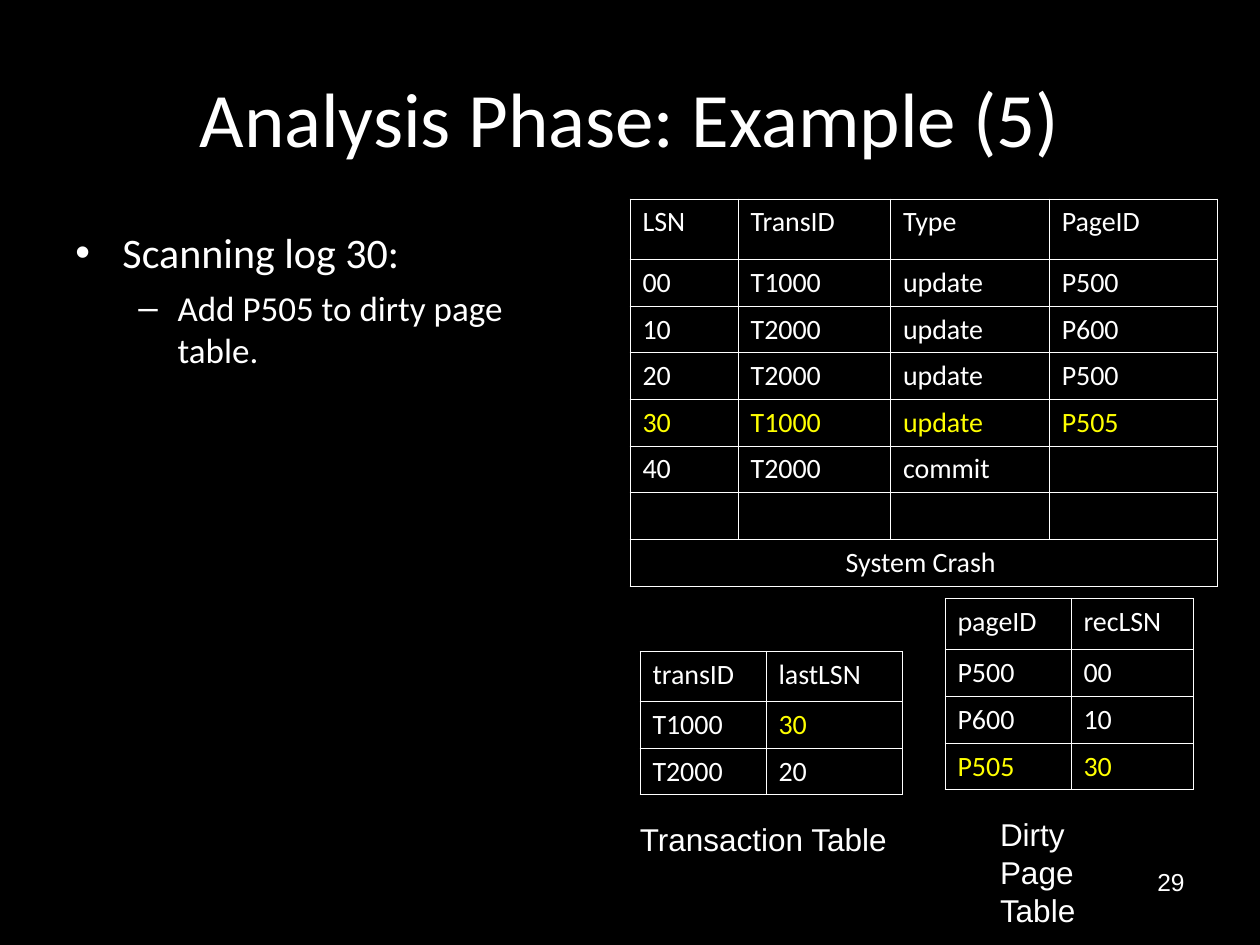
from lxml.etree import SubElement
from pptx import Presentation
from pptx.dml.color import RGBColor
from pptx.enum.text import MSO_ANCHOR, MSO_AUTO_SIZE, PP_ALIGN
from pptx.oxml.ns import qn
from pptx.util import Cm, Pt


def color(hex_code):
    return RGBColor.from_string(hex_code)


class LogSlide:
    paper, ink, accent = "000000", "FFFFFF", "FFFF00"
    heading_font, label_font = "Calibri", "Arial"
    row_height = 0.94

    def __init__(self, deck):
        self.slide = deck.slides.add_slide(deck.slide_layouts[5])
        self.slide.background.fill.solid()
        self.slide.background.fill.fore_color.rgb = color(self.paper)

    def run(self, paragraph, text, size, font, ink=None):
        run = paragraph.add_run()
        run.text = text
        run.font.size = Pt(size)
        run.font.name = font
        run.font.color.rgb = color(ink or self.ink)

    def title(self, text, left, top, width, height):
        heading = self.slide.shapes.title
        heading.left, heading.top = Cm(left), Cm(top)
        heading.width, heading.height = Cm(width), Cm(height)
        heading.text_frame.vertical_anchor = MSO_ANCHOR.MIDDLE
        paragraph = heading.text_frame.paragraphs[0]
        paragraph.alignment = PP_ALIGN.CENTER
        self.run(paragraph, text, 44, self.heading_font)

    def box(self, left, top, width, height, wrap=True):
        frame = self.slide.shapes.add_textbox(
            Cm(left), Cm(top), Cm(width), Cm(height)).text_frame
        frame.word_wrap = wrap
        return frame

    def label(self, lines, left, top, width, height, size=18,
              align=PP_ALIGN.LEFT, wrap=False):
        frame = self.box(left, top, width, height, wrap)
        if not wrap:
            frame.auto_size = MSO_AUTO_SIZE.SHAPE_TO_FIT_TEXT
        for index, line in enumerate(lines):
            paragraph = frame.add_paragraph() if index else frame.paragraphs[0]
            paragraph.alignment = align
            self.run(paragraph, line, size, self.label_font)

    def bullets(self, items, left, top, width, height):
        styles = [("•", 0.95, -0.95, 24, 6), ("–", 2.06, -0.79, 20, 5)]
        frame = self.box(left, top, width, height)
        for index, (level, text) in enumerate(items):
            mark, margin, indent, size, before = styles[level]
            paragraph = frame.add_paragraph() if index else frame.paragraphs[0]
            paragraph.level = level
            if index:
                paragraph.space_before = Pt(before)
            properties = paragraph._p.get_or_add_pPr()
            properties.set("marL", str(Cm(margin)))
            properties.set("indent", str(Cm(indent)))
            bullet_color = SubElement(properties, qn("a:buClr"))
            SubElement(bullet_color, qn("a:srgbClr"), val=self.ink)
            SubElement(properties, qn("a:buFont"), typeface=self.label_font)
            SubElement(properties, qn("a:buChar"), char=mark)
            self.run(paragraph, text, size, self.heading_font)

    def border(self, cell):
        properties = cell._tc.get_or_add_tcPr()
        for side in ("a:lnL", "a:lnR", "a:lnT", "a:lnB"):
            line = SubElement(properties, qn(side), w=str(Pt(0.45)))
            fill = SubElement(line, qn("a:solidFill"))
            SubElement(fill, qn("a:srgbClr"), val=self.ink)

    def table(self, rows, left, top, widths, header_height, accents, footer=None):
        heights = [header_height] + [self.row_height] * (len(rows) - 1)
        grid = self.slide.shapes.add_table(
            len(rows), len(widths), Cm(left), Cm(top),
            Cm(sum(widths)), Cm(sum(heights))).table
        grid.first_row = grid.horz_banding = False
        for column, width in zip(grid.columns, widths):
            column.width = Cm(width)
        for row, height in zip(grid.rows, heights):
            row.height = Cm(height)
        for r, texts in enumerate(rows):
            for c, text in enumerate(texts):
                cell = grid.cell(r, c)
                self.border(cell)
                cell.fill.background()
                paragraph = cell.text_frame.paragraphs[0]
                if text:
                    ink = self.accent if (r, c) in accents else self.ink
                    self.run(paragraph, text, 16, self.heading_font, ink)
                else:
                    SubElement(paragraph._p, qn("a:endParaRPr"), sz="1600")
        if footer is not None:
            grid.cell(footer, 0).merge(grid.cell(footer, len(widths) - 1))
            grid.cell(footer, 0).text_frame.paragraphs[0].alignment = PP_ALIGN.CENTER


def main():
    deck = Presentation()
    deck.slide_width, deck.slide_height = Cm(25.4), Cm(19.05)
    page = LogSlide(deck)

    page.label(["29"], 18.21, 17.35, 5.92, 1.32, 14, PP_ALIGN.RIGHT, True)
    page.title("Analysis Phase: Example (5)", 1.27, 0.76, 22.86, 3.18)
    page.bullets([(0, "Scanning log 30:"),
                  (1, "Add P505 to dirty page table.")],
                 1.27, 4.45, 10.36, 12.57)

    log = [("LSN", "TransID", "Type", "PageID"),
           ("00", "T1000", "update", "P500"),
           ("10", "T2000", "update", "P600"),
           ("20", "T2000", "update", "P500"),
           ("30", "T1000", "update", "P505"),
           ("40", "T2000", "commit", ""),
           ("", "", "", ""),
           ("System Crash ", "", "", "")]
    page.table(log, 12.7, 4.01, [2.18, 3.07, 3.2, 3.4], 1.22,
               {(4, c) for c in range(4)}, footer=7)

    dirty_pages = [("pageID", "recLSN"), ("P500", "00"),
                   ("P600", "10"), ("P505", "30")]
    page.table(dirty_pages, 19.05, 12.06, [2.54, 2.46], 1.04, {(3, 0), (3, 1)})

    transactions = [("transID", "lastLSN"), ("T1000", "30"), ("T2000", "20")]
    page.table(transactions, 12.9, 13.13, [2.54, 2.75], 1.01, {(1, 1)})

    page.label(["Transaction Table"], 12.65, 16.41, 5.59, 1.02)
    page.label(["Dirty Page", "Table"], 19.91, 16.31, 3.45, 1.78)
    deck.save("out.pptx")


if __name__ == "__main__":
    main()
